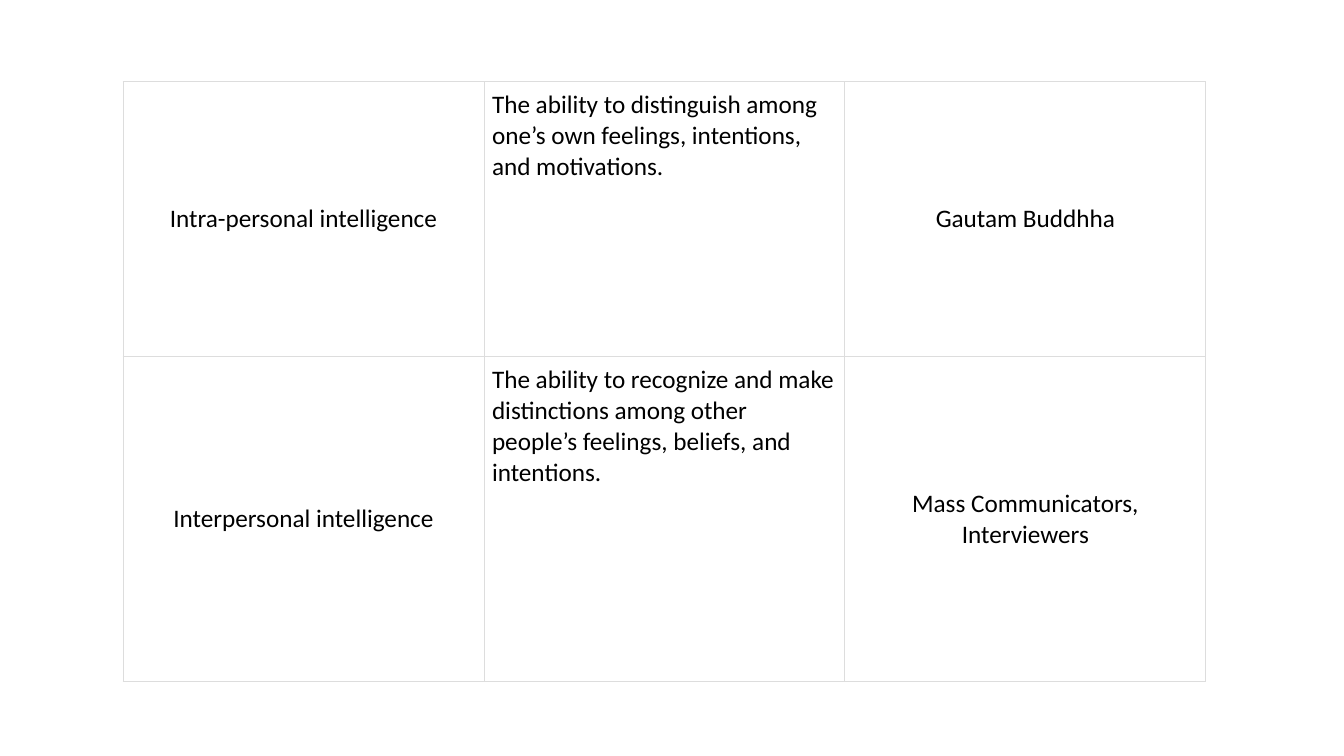
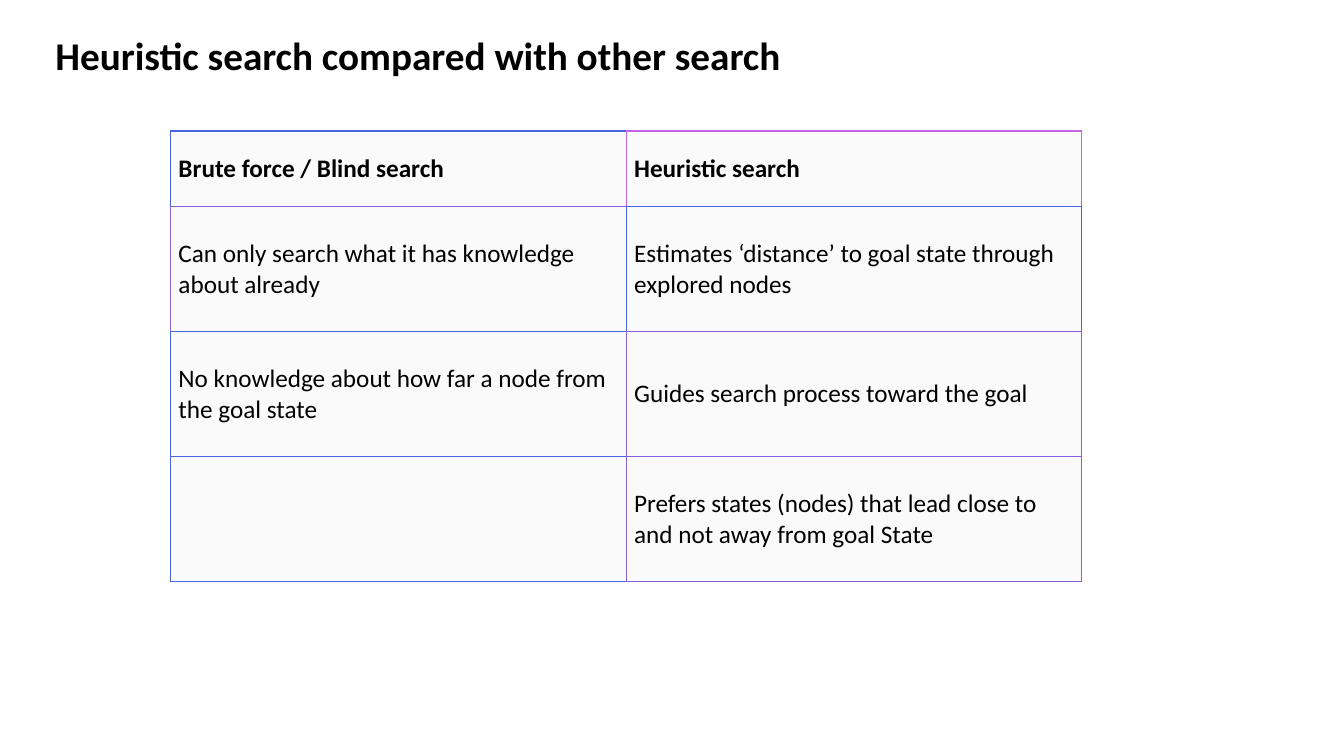
import pptx
import pptx.dml.color
import pptx.enum.text
import pptx.oxml
import pptx.oxml.ns
import pptx.util

Inches = pptx.util.Inches
Pt = pptx.util.Pt
RGBColor = pptx.dml.color.RGBColor
PP_ALIGN = pptx.enum.text.PP_ALIGN
MSO_ANCHOR = pptx.enum.text.MSO_ANCHOR

# Shared style
FONT = "Calibri"
BLACK = RGBColor(0x00, 0x00, 0x00)
GREY = RGBColor(0xDD, 0xDD, 0xDD)
PALE = RGBColor(0xFA, 0xFA, 0xFA)
BLUE = RGBColor(0x48, 0x65, 0xE1)
PINK = RGBColor(0xC8, 0x63, 0xE1)
VIOLET = RGBColor(0x88, 0x61, 0xE1)
CELL_MARGIN = Inches(0.08)


def write(tf, text, size=18, bold=False, align=PP_ALIGN.LEFT, anchor=MSO_ANCHOR.MIDDLE, spacing=None):
    tf.word_wrap = True
    tf.vertical_anchor = anchor
    p = tf.paragraphs[0]
    p.alignment = align
    p.line_spacing = spacing
    r = p.add_run()
    r.text = text
    r.font.name = FONT
    r.font.size = Pt(size)
    r.font.bold = bold
    r.font.color.rgb = BLACK


def add_grid(s, left, top, col_width, heights, colors, inner_width, edge_width, fill=None):
    """Add a table; a cell's right and bottom borders take the next cell's colour."""
    rows, cols = len(colors), len(colors[0])
    frame = s.shapes.add_table(rows, cols, Inches(left), Inches(top),
                               Inches(col_width * cols), Inches(sum(heights)))
    table = frame.table
    table.first_row = table.horz_banding = False
    for col in table.columns:
        col.width = Inches(col_width)
    for i, height in enumerate(heights):
        table.rows[i].height = Inches(height)
        for j in range(cols):
            cell = table.cell(i, j)
            cell.margin_left = cell.margin_right = CELL_MARGIN
            cell.margin_top = cell.margin_bottom = CELL_MARGIN
            if fill is None:
                cell.fill.background()
            else:
                cell.fill.solid()
                cell.fill.fore_color.rgb = fill
            last_row, last_col = i == rows - 1, j == cols - 1
            borders = [
                ("lnL", colors[i][j], inner_width),
                ("lnR", colors[i][min(j + 1, cols - 1)], edge_width if last_col else inner_width),
                ("lnT", colors[i][j], inner_width),
                ("lnB", colors[min(i + 1, rows - 1)][j], edge_width if last_row else inner_width),
            ]
            tcPr = cell._tc.get_or_add_tcPr()
            for k, (tag, color, width) in enumerate(borders):
                tcPr.insert(k, pptx.oxml.parse_xml(
                    f'<a:{tag} {pptx.oxml.ns.nsdecls("a")} w="{Pt(width)}"><a:solidFill>'
                    f'<a:srgbClr val="{color}"/></a:solidFill></a:{tag}>'))
    return table


prs = pptx.Presentation()
prs.slide_width = Inches(13.33)
prs.slide_height = Inches(7.5)

# Slide 1: personal intelligences
s = prs.slides.add_slide(prs.slide_layouts[6])
intelligences = [
    ("Intra-personal intelligence",
     "The ability to distinguish among one’s own feelings, intentions, and motivations.",
     "Gautam Buddhha"),
    ("Interpersonal intelligence",
     "The ability to recognize and make distinctions among other people’s feelings, beliefs, and intentions.",
     "Mass Communicators, Interviewers"),
]
table = add_grid(s, 1.22, 0.81, 3.58, [2.73, 3.22], [[GREY] * 3] * 2, 0.75, 0.75)
for i, row in enumerate(intelligences):
    for j, text in enumerate(row):
        cell = table.cell(i, j)
        description = j == 1
        cell.vertical_anchor = MSO_ANCHOR.TOP if description else MSO_ANCHOR.MIDDLE
        write(cell.text_frame, text, anchor=cell.vertical_anchor,
              align=PP_ALIGN.LEFT if description else PP_ALIGN.CENTER)

# Slide 2: title
s = prs.slides.add_slide(prs.slide_layouts[5])
title = s.shapes.title
title.left, title.top = Inches(0.45), Inches(0.31)
title.width, title.height = Inches(11.97), Inches(0.7)
title.text_frame.auto_size = pptx.enum.text.MSO_AUTO_SIZE.NONE
write(title.text_frame, "Heuristic search compared with other search",
      size=28, bold=True, anchor=MSO_ANCHOR.TOP, spacing=0.9)

# Slide 2: comparison table
searches = [
    ("Brute force / Blind search", "Heuristic search"),
    ("Can only search what it has knowledge about already",
     "Estimates ‘distance’ to goal state through explored nodes"),
    ("No knowledge about how far a node from the goal state",
     "Guides search process toward the goal"),
    ("", "Prefers states (nodes) that lead close to and not away from goal State"),
]
border_colors = [[BLUE, PINK], [VIOLET, BLUE], [BLUE, VIOLET], [BLUE, VIOLET]]
table = add_grid(s, 1.69, 1.3, 4.52, [0.75] + [1.24] * 3, border_colors, 1, 0.75, fill=PALE)
for i, row in enumerate(searches):
    for j, text in enumerate(row):
        if text:
            cell = table.cell(i, j)
            cell.vertical_anchor = MSO_ANCHOR.MIDDLE
            write(cell.text_frame, text, bold=i == 0)

prs.save("out.pptx")
